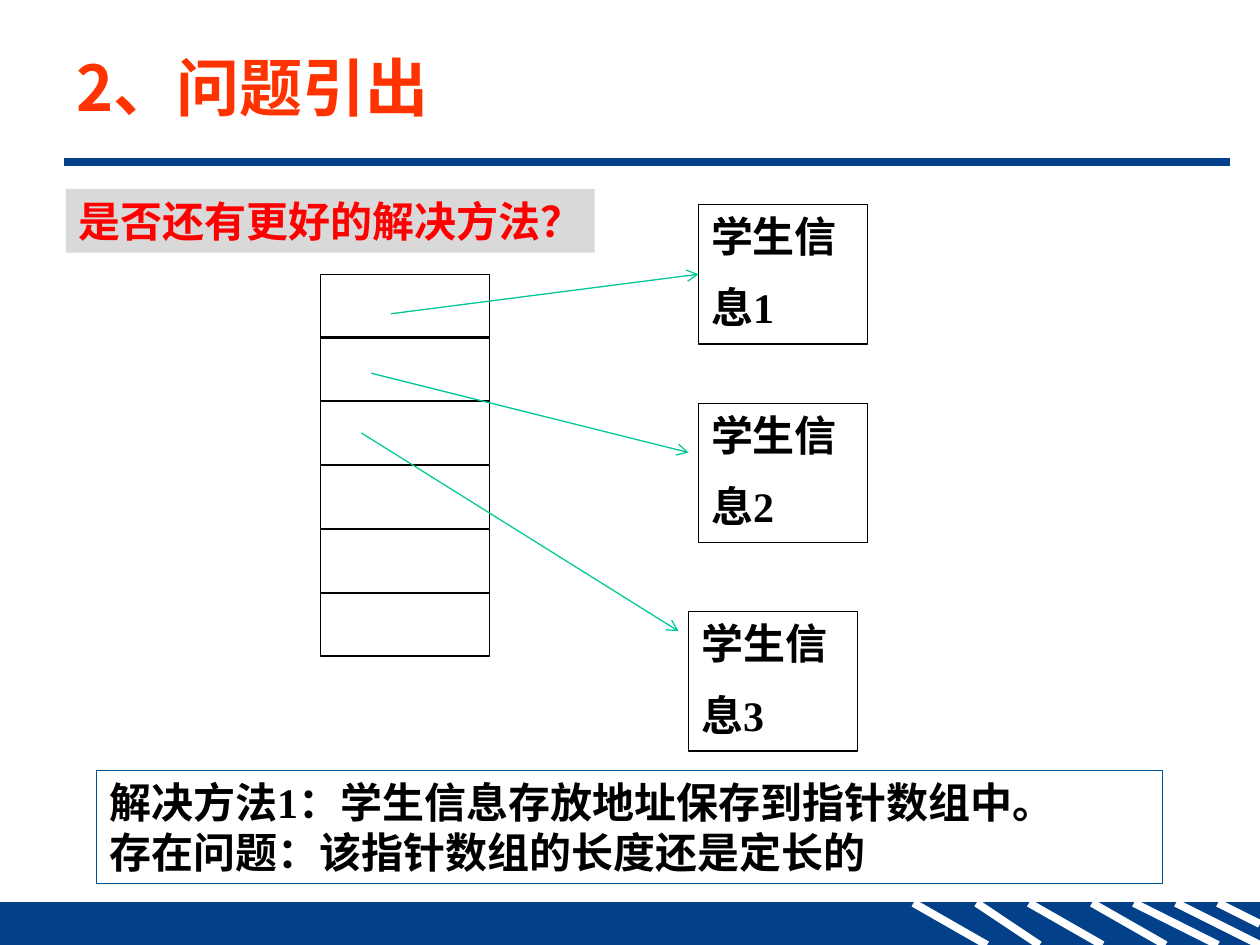
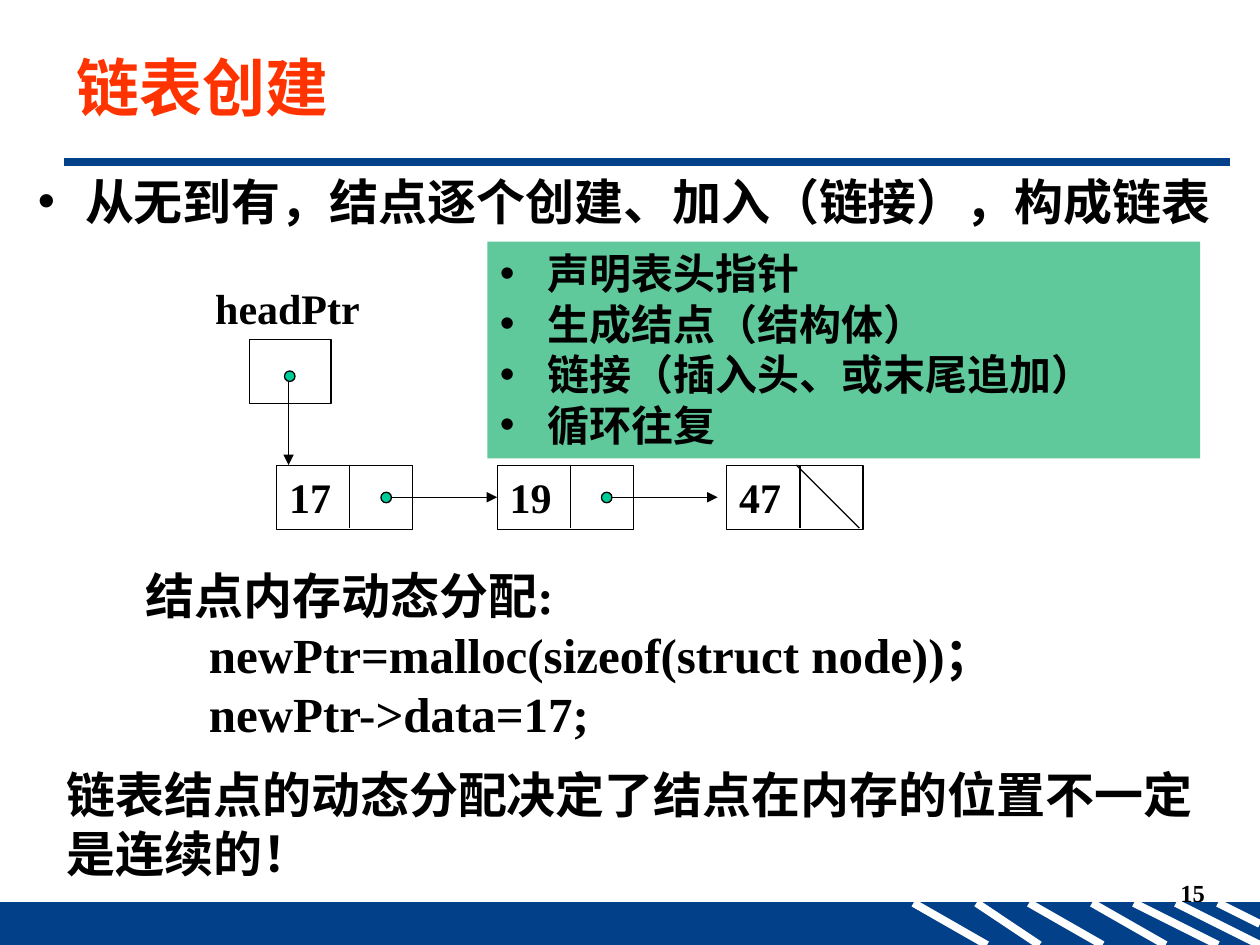
from lxml import etree
from pptx import Presentation
from pptx.dml.color import RGBColor
from pptx.enum.shapes import MSO_CONNECTOR, MSO_SHAPE
from pptx.enum.text import MSO_ANCHOR, MSO_AUTO_SIZE, PP_ALIGN
from pptx.oxml.ns import qn
from pptx.util import Pt

STRAIGHT = MSO_CONNECTOR.STRAIGHT
RECT, OVAL = MSO_SHAPE.RECTANGLE, MSO_SHAPE.OVAL
TOP, MIDDLE = MSO_ANCHOR.TOP, MSO_ANCHOR.MIDDLE
LEFT, RIGHT = PP_ALIGN.LEFT, PP_ALIGN.RIGHT
NO_AUTOFIT = MSO_AUTO_SIZE.NONE

COLOURS = {
    "navy": "024089",
    "white": "FFFFFF",
    "black": "000000",
    "title": "FF3300",
    "red": "FF0000",
    "grey": "D9D9D9",
    "frame": "005493",
    "arrow": "00C896",
    "dot": "00CC99",
    "steps": "60C99C",
}
SERIF, SANS, CJK = "Times New Roman", "Arial", "Noto Sans CJK SC"
WIDTH, HEIGHT = 720, 540
LEFT_SIDE = 1


def rgb(name):
    return RGBColor.from_string(COLOURS[name])


def write(frame, lines, size=24, font=SERIF, colour="black", align=LEFT,
          anchor=TOP, gap=0, bullet=False, indents=()):
    frame.word_wrap = True
    frame.auto_size = NO_AUTOFIT
    frame.vertical_anchor = anchor
    for index, line in enumerate(lines):
        paragraph = frame.paragraphs[0] if index == 0 else frame.add_paragraph()
        paragraph.alignment = align
        paragraph.space_before = Pt(gap if index else 0)
        properties = paragraph._p.get_or_add_pPr()
        if bullet:
            properties.set("marL", str(Pt(27)))
            properties.set("indent", str(Pt(-27)))
            etree.SubElement(properties, qn("a:buFont"), typeface=SANS)
            etree.SubElement(properties, qn("a:buChar"), char="•")
        elif indents:
            properties.set("marL", str(Pt(indents[index])))
        run = paragraph.add_run()
        run.text = line
        run.font.size = Pt(size)
        run.font.bold = True
        run.font.name = font
        run.font.color.rgb = rgb(colour)
        etree.SubElement(run._r.get_or_add_rPr(), qn("a:ea"), typeface=CJK)


def add_text(slide, box, lines, **style):
    label = slide.shapes.add_textbox(*map(Pt, box))
    write(label.text_frame, lines, **style)


def add_box(slide, box, lines=(), preset=RECT, fill=None, line="black", **style):
    shape = slide.shapes.add_shape(preset, *map(Pt, box))
    shape.shadow.inherit = False
    if fill:
        shape.fill.solid()
        shape.fill.fore_color.rgb = rgb(fill)
    else:
        shape.fill.background()
    if line:
        shape.line.color.rgb = rgb(line)
        shape.line.width = Pt(0.75)
    else:
        shape.line.fill.background()
    if lines:
        write(shape.text_frame, lines, **style)
    return shape


def add_line(slide, start, end, colour="black", width=0.75, head=None):
    line = slide.shapes.add_connector(STRAIGHT, *map(Pt, (*start, *end)))
    line.line.color.rgb = rgb(colour)
    line.line.width = Pt(width)
    if head:
        etree.SubElement(line.line._get_or_add_ln(), qn("a:tailEnd"), type=head)
    etree.SubElement(line._element.spPr, qn("a:effectLst"))
    return line


def place(placeholder, box):
    placeholder.left, placeholder.top, placeholder.width, placeholder.height = map(Pt, box)
    return placeholder.text_frame


def add_footer_band(slide, box):
    left, top, width, height = box
    add_box(slide, box, fill="navy", line="navy")
    stripes = [(522, 42), (558, 36), (588, 42), (624, 42), (648, 48), (672, 48)]
    for x, run in stripes:
        add_line(slide, (left + x, top), (left + x + run, top + height), "white", 4.5)
    add_line(slide, (left + 696, top), (left + width, top + height / 2), "white", 4.5)


def new_slide(deck, layout, title):
    slide = deck.slides.add_slide(deck.slide_layouts.get_by_name(layout))
    add_footer_band(slide, (0, 516, WIDTH, 24))
    add_line(slide, (36.7, 92.7), (702.7, 92.7), "navy", 4.5)
    write(place(slide.shapes.title, (36.7, 20.9, 669, 56.9)), [title],
          size=36, font=CJK, colour="title", anchor=MIDDLE)
    return slide


def add_pointer_array(slide, box, rows=6):
    left, top, width, height = box
    pitch = height / rows
    for row in range(rows):
        add_box(slide, (left, top + row * pitch, width, 36))


def add_student_records(slide, box):
    left, top, width, height = box
    offsets = [(5.7, 0), (5.7, 113.6), (0, 232.6)]
    return [
        add_box(slide, (left + x, top + y, width, height),
                ["学生信", f"息{number}"], gap=12)
        for number, (x, y) in enumerate(offsets, 1)
    ]


def build_question_slide(deck):
    slide = new_slide(deck, "Title Only", "2、问题引出")
    add_box(slide, (37.6, 108, 302.2, 36.4), ["是否还有更好的解决方法？"],
            fill="grey", line=None, font=SANS, colour="red")
    records = add_student_records(slide, (393.5, 116.8, 96.7, 79.8))
    add_pointer_array(slide, (183, 156.7, 96.7, 218.7))
    pointers = [
        ((223.4, 179.3), (399.2, 156.7)),
        ((212.2, 213.3), (393.5, 258.6)),
        ((206.5, 247.4), (387.8, 360.7)),
    ]
    arrows = [add_line(slide, start, end, "arrow", head="arrow")
              for start, end in pointers]
    arrows[0].end_connect(records[0], LEFT_SIDE)
    add_box(slide, (55.3, 440.2, 609.2, 64.7),
            ["解决方法1：学生信息存放地址保存到指针数组中。",
             "存在问题：该指针数组的长度还是定长的"], line="frame")


def add_dot(slide, left, top):
    add_box(slide, (left, top, 6, 6), preset=OVAL, fill="dot")


def add_node(slide, box, value):
    left, top, width, height = box
    node = add_box(slide, box, [value])
    add_line(slide, (left + 41.8, top), (left + 41.8, top + height - 0.7))
    return node


def add_head_pointer(slide, box):
    left, top, width, height = box
    add_text(slide, (left, top, width, 36), ["headPtr"])
    add_box(slide, (left + 26.7, top + 36.2, 46.6, 36.7))
    add_line(slide, (left + 49, top + 60), (left + 49, top + height), head="triangle")
    add_dot(slide, left + 46.7, top + 54.3)


def add_linked_list(slide, box):
    left, top, width, height = box
    node_width = 77.8
    offsets = [0, 126, width - node_width]
    nodes = [add_node(slide, (left + x, top, node_width, height), value)
             for x, value in zip(offsets, ("17", "19", "47"))]
    links = []
    for x in offsets[:2]:
        start = left + x + 65.5
        links.append(add_line(slide, (start, top + height / 2),
                              (start + 60.5, top + height / 2), head="triangle"))
        add_dot(slide, start - 5.9, top + 15.5)
    links[0].end_connect(nodes[1], LEFT_SIDE)
    null_left = left + offsets[2] + 39.8
    add_line(slide, (null_left, top), (null_left + 36, top + 36))


def build_creation_slide(deck):
    slide = new_slide(deck, "Title and Content", "链表创建")
    write(place(slide.placeholders[1], (14.4, 94.3, 697.7, 377.3)),
          ["从无到有，结点逐个创建、加入（链接），构成链表"],
          size=28, font=SANS, bullet=True)
    add_linked_list(slide, (158.1, 265.8, 335, 36.7))
    add_head_pointer(slide, (115.9, 157.7, 106.6, 108.1))
    add_text(slide, (76.3, 319.7, 561.6, 108),
             ["结点内存动态分配:", "newPtr=malloc(sizeof(struct node))；",
              "newPtr->data=17;"], size=28, indents=(0, 36, 36))
    add_text(slide, (31, 433.4, 664.6, 74.2),
             ["链表结点的动态分配决定了结点在内存的位置不一定是连续的！"], size=28)
    add_box(slide, (278.5, 138.1, 407.3, 123.8),
            ["声明表头指针", "生成结点（结构体）", "链接（插入头、或末尾追加）",
             "循环往复"], fill="steps", line=None, font=SANS, bullet=True)
    add_text(slide, (545.8, 498.2, 149.8, 36), ["15"], size=14, align=RIGHT)


def main():
    deck = Presentation()
    deck.slide_width, deck.slide_height = Pt(WIDTH), Pt(HEIGHT)
    build_question_slide(deck)
    build_creation_slide(deck)
    deck.save("out.pptx")


if __name__ == "__main__":
    main()
